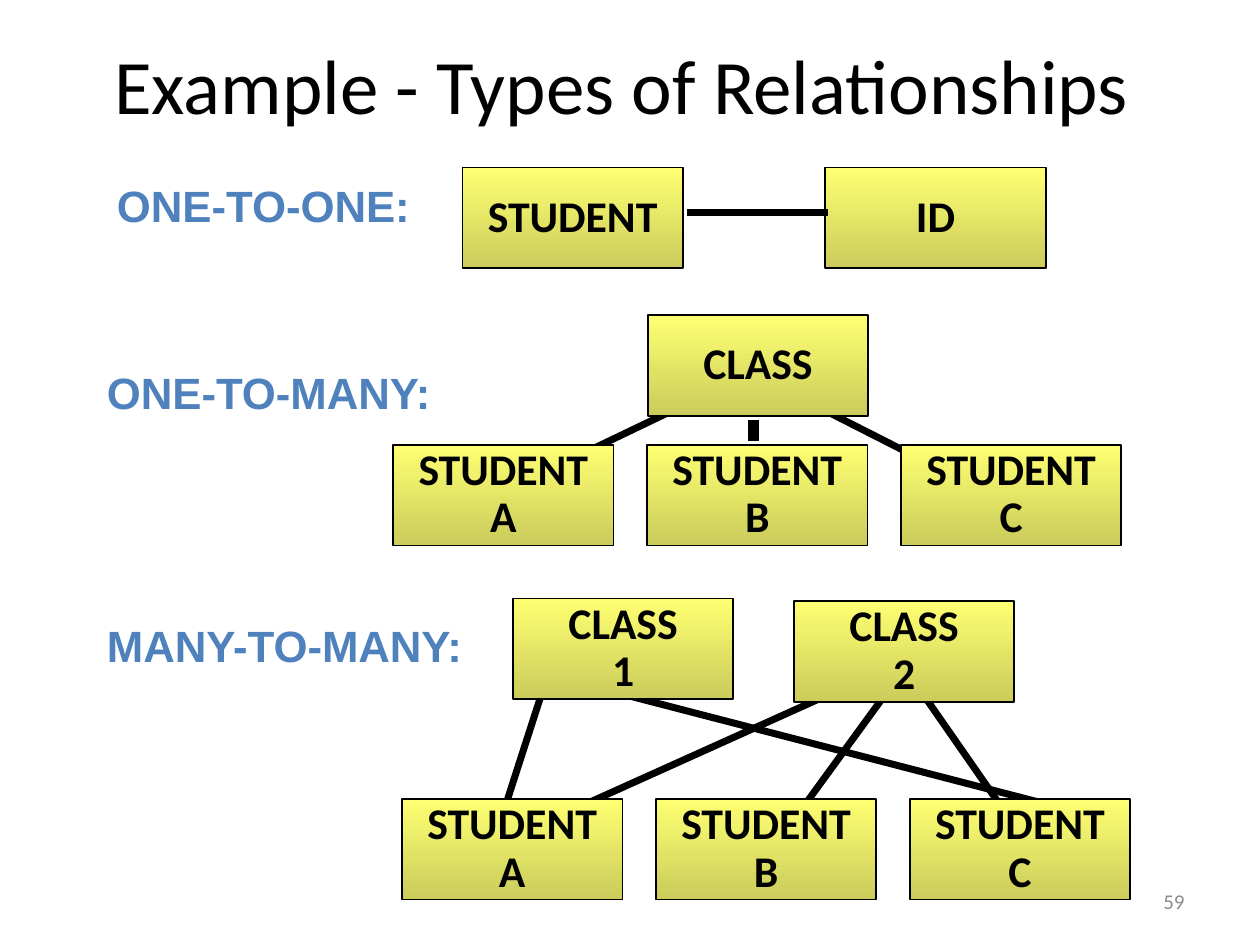
import pptx
import pptx.dml.color
import pptx.enum.shapes
import pptx.enum.text
import pptx.oxml.ns
import pptx.util
from lxml import etree

ALIGN = pptx.enum.text.PP_ALIGN
ANCHOR = pptx.enum.text.MSO_ANCHOR
AUTO_SIZE = pptx.enum.text.MSO_AUTO_SIZE

COLUMNS, ROWS = 10, 7.5
BOX_WIDTH, BOX_HEIGHT = 1.75, 0.8
STUDENT_STEP = 2.015


def color(value):
    return pptx.dml.color.RGBColor.from_string(value)


class RelationshipSlide:
    """Holds the style and the slide; lengths are columns and rows of the grid."""

    black, blue, gray = "000000", "4F81BD", "8C8C8C"
    box_top, box_bottom = "FEFF72", "CBCC5B"
    body_font, label_font = "Calibri", "Arial"
    body_size = 25

    def __init__(self, presentation):
        self.slide = presentation.slides.add_slide(presentation.slide_layouts[5])
        self.column = presentation.slide_width / COLUMNS
        self.row = presentation.slide_height / ROWS

    def place(self, left, top, width, height):
        return (round(left * self.column), round(top * self.row),
                round(width * self.column), round(height * self.row))

    def add_lines(self, frame, lines, size, font, fill, bold=False,
                  align=ALIGN.LEFT, spacing=None):
        for index, line in enumerate(lines):
            paragraph = frame.add_paragraph() if index else frame.paragraphs[0]
            paragraph.alignment = align
            paragraph.line_spacing = spacing
            run = paragraph.add_run()
            run.text = line
            run.font.size = pptx.util.Pt(size)
            run.font.name = font
            run.font.bold = bold
            run.font.color.rgb = color(fill)

    def title(self, text, *area):
        shape = self.slide.shapes.title
        shape.left, shape.top, shape.width, shape.height = self.place(*area)
        frame = shape.text_frame
        frame.word_wrap = False
        frame.auto_size = AUTO_SIZE.SHAPE_TO_FIT_TEXT
        frame.vertical_anchor = ANCHOR.TOP
        self.add_lines(frame, [text], 44, self.body_font, self.black,
                       align=ALIGN.CENTER)

    def label(self, text, left, top, width):
        shape = self.slide.shapes.add_textbox(*self.place(left, top, width, 0.47))
        frame = shape.text_frame
        frame.word_wrap = False
        frame.auto_size = AUTO_SIZE.SHAPE_TO_FIT_TEXT
        self.add_lines(frame, [text], self.body_size, self.label_font, self.blue,
                       bold=True, spacing=0.9)

    def box(self, left, top, *lines):
        shape = self.slide.shapes.add_shape(
            pptx.enum.shapes.MSO_SHAPE.RECTANGLE,
            *self.place(left, top, BOX_WIDTH, BOX_HEIGHT))
        shape.shadow.inherit = False
        shape.fill.gradient()
        shape.fill.gradient_angle = 270
        for stop, value in zip(shape.fill.gradient_stops, (self.box_top, self.box_bottom)):
            stop.color.rgb = color(value)
        shape.line.color.rgb = color(self.black)
        shape.line.width = pptx.util.Pt(1)
        frame = shape.text_frame
        frame.word_wrap = False
        frame.vertical_anchor = ANCHOR.MIDDLE
        self.add_lines(frame, lines, self.body_size, self.body_font, self.black,
                       bold=True, align=ALIGN.CENTER, spacing=0.9)

    def students(self, left, top):
        for index, letter in enumerate("ABC"):
            self.box(left + index * STUDENT_STEP, top, "STUDENT", letter)

    def link(self, start, end, width=4):
        connector = self.slide.shapes.add_connector(
            pptx.enum.shapes.MSO_CONNECTOR.STRAIGHT, *self.place(*start, *end))
        connector.line.color.rgb = color(self.black)
        connector.line.width = pptx.util.Pt(width)
        etree.SubElement(connector._element.spPr, pptx.oxml.ns.qn("a:effectLst"))

    def page_number(self, text, *area):
        frame = self.slide.shapes.add_textbox(*self.place(*area)).text_frame
        frame.word_wrap = True
        frame.vertical_anchor = ANCHOR.MIDDLE
        self.add_lines(frame, [text], 12, self.body_font, self.gray,
                       align=ALIGN.RIGHT)


def main():
    presentation = pptx.Presentation()
    presentation.slide_width = pptx.util.Inches(COLUMNS)
    presentation.slide_height = pptx.util.Inches(ROWS)
    page = RelationshipSlide(presentation)
    page.title("Example - Types of Relationships", 0.42, 0.25, 9.03, 0.76)

    # One student has one ID
    page.label("ONE-TO-ONE:", 0.83, 1.42, 2.61)
    page.box(3.67, 1.33, "STUDENT")
    page.box(6.55, 1.33, "ID")
    page.link((5.45, 1.69), (6.57, 1.69))

    # One class has many students; links lie behind the boxes
    page.label("ONE-TO-MANY:", 0.75, 2.9, 2.78)
    page.link((6.04, 3), (7.89, 3.94))
    page.link((5.96, 2.96), (4, 3.9))
    page.link((5.98, 3.33), (5.98, 3.5), width=6)
    page.box(5.14, 2.5, "CLASS")
    page.students(3.12, 3.53)

    # Many classes share many students
    page.label("MANY-TO-MANY:", 0.75, 4.91, 3.05)
    for start, end in (
        ((4.44, 5.38), (8.53, 6.44)),
        ((7.18, 5.3), (6.16, 6.7)),
        ((4.32, 5.44), (3.91, 6.71)),
        ((7.16, 5.25), (4.23, 6.57)),
        ((7.18, 5.3), (8.23, 6.81)),
    ):
        page.link(start, end)
    page.students(3.19, 6.34)
    page.box(4.07, 4.75, "CLASS", "1")
    page.box(6.3, 4.77, "CLASS", "2")

    page.page_number("59", 7.17, 6.95, 2.33, 0.4)
    presentation.save("out.pptx")


if __name__ == "__main__":
    main()
